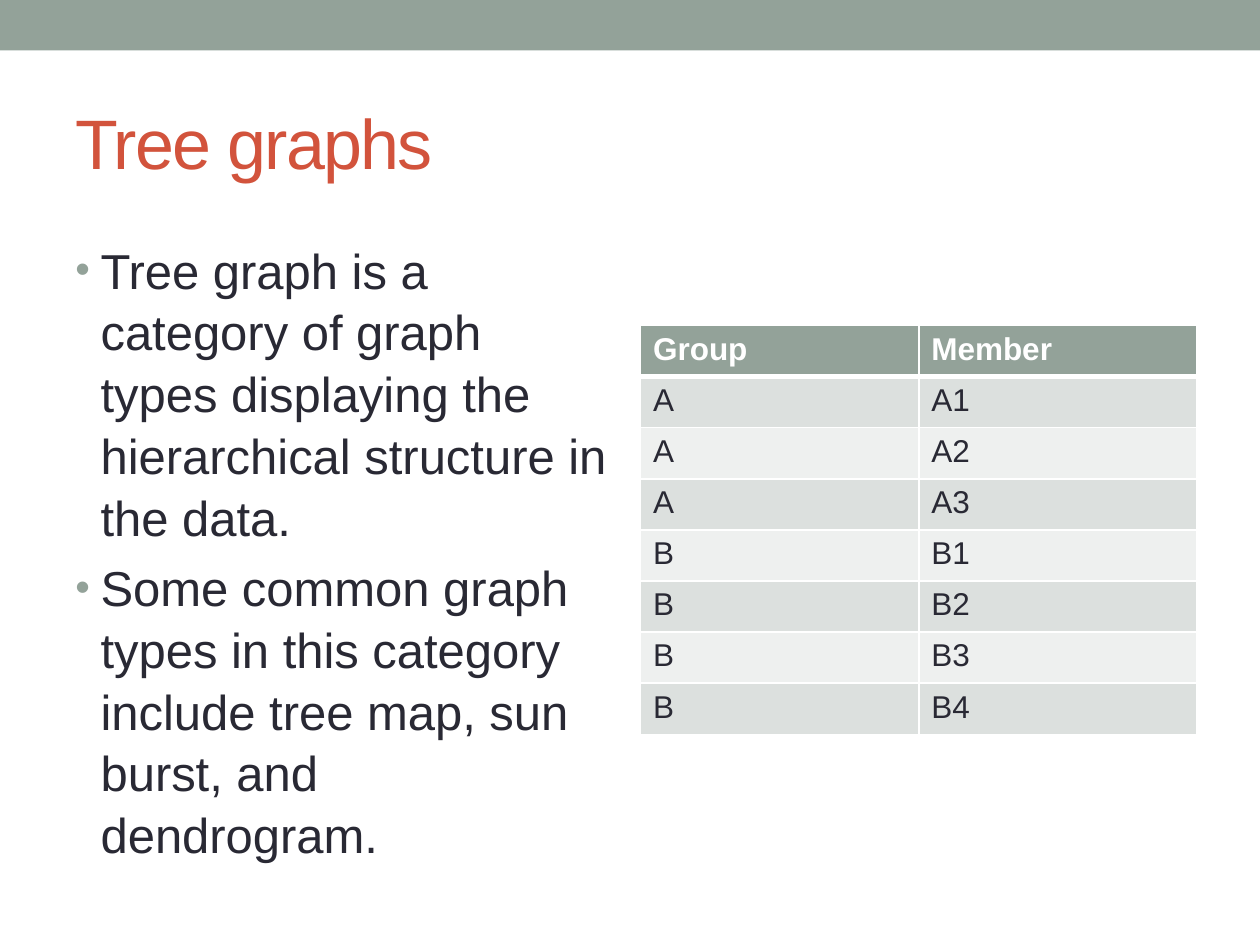
from lxml import etree
from pptx import Presentation
from pptx.dml.color import RGBColor
from pptx.enum.shapes import MSO_SHAPE
from pptx.enum.text import MSO_ANCHOR, MSO_AUTO_SIZE, PP_ALIGN
from pptx.oxml.ns import qn
from pptx.util import Pt

RECTANGLE = MSO_SHAPE.RECTANGLE
LEFT = PP_ALIGN.LEFT
MIDDLE = MSO_ANCHOR.MIDDLE
NO_AUTOFIT = MSO_AUTO_SIZE.NONE

SAGE = RGBColor(0x93, 0xA2, 0x99)
RED = RGBColor(0xD2, 0x53, 0x3C)
INK = RGBColor(0x29, 0x29, 0x34)
WHITE = RGBColor(0xFF, 0xFF, 0xFF)
ROW_FILLS = (RGBColor(0xDC, 0xE0, 0xDE), RGBColor(0xEE, 0xF0, 0xEF))

TITLE_FORMAT = {"name": "Arial", "size": Pt(40), "color": RED}
BODY_FORMAT = {"name": "Arial", "size": Pt(28), "color": INK}
HEADER_FORMAT = {"name": "Arial", "size": Pt(18), "bold": True, "color": WHITE}
CELL_FORMAT = {"name": "Arial", "size": Pt(18), "bold": False, "color": INK}

POINTS = (
    "Tree graph is a category of graph types displaying the "
    "hierarchical structure in the data.",
    "Some common graph types in this category include tree map, "
    "sun burst, and dendrogram.",
)
GROUP_SIZES = {"A": 3, "B": 4}


def format_font(font, values):
    for attribute, value in values.items():
        if attribute == "color":
            font.color.rgb = value
        else:
            setattr(font, attribute, value)


def add_top_band(slide, width):
    band = slide.shapes.add_shape(RECTANGLE, 0, 0, width, Pt(28.8))
    band.shadow.inherit = False
    band.fill.solid()
    band.fill.fore_color.rgb = SAGE
    band.line.fill.background()


def set_title(slide, text):
    title = slide.shapes.title
    title.left, title.top, title.width, title.height = Pt(36), Pt(42), Pt(648), Pt(78)
    frame = title.text_frame
    frame.auto_size = NO_AUTOFIT
    frame.vertical_anchor = MIDDLE
    paragraph = frame.paragraphs[0]
    paragraph.alignment = LEFT
    run = paragraph.add_run()
    run.text = text
    format_font(run.font, TITLE_FORMAT)
    run.font._element.set("spc", "-100")


def add_bullet(paragraph):
    """Hang a sage bullet at 85% of the text size."""
    properties = paragraph._p.get_or_add_pPr()
    indent = Pt(14.4)
    properties.set("marL", str(indent))
    properties.set("indent", str(-indent))
    color = etree.SubElement(properties, qn("a:buClr"))
    etree.SubElement(color, qn("a:srgbClr"), val=str(SAGE))
    etree.SubElement(properties, qn("a:buSzPct"), val="85000")
    etree.SubElement(properties, qn("a:buFont"), typeface="Arial")
    etree.SubElement(properties, qn("a:buChar"), char="•")


def add_bullet_list(slide, points):
    body = slide.shapes.add_textbox(Pt(36), Pt(132), Pt(318), Pt(371.5))
    frame = body.text_frame
    frame.word_wrap = True
    for index, point in enumerate(points):
        paragraph = frame.add_paragraph() if index else frame.paragraphs[0]
        paragraph.line_spacing = 1.05
        paragraph.space_before = Pt(5)
        add_bullet(paragraph)
        run = paragraph.add_run()
        run.text = point
        format_font(run.font, BODY_FORMAT)


def set_borders(cell, widths):
    """Draw white borders; widths maps a side (L, R, T, B) to points."""
    properties = cell._tc.get_or_add_tcPr()
    for position, (side, width) in enumerate(widths.items()):
        border = etree.Element(qn(f"a:ln{side}"), w=str(Pt(width)))
        fill = etree.SubElement(border, qn("a:solidFill"))
        etree.SubElement(fill, qn("a:srgbClr"), val=str(WHITE))
        properties.insert(position, border)


def add_member_table(slide, rows):
    row_height, column_width = Pt(29.2), Pt(159)
    table = slide.shapes.add_table(
        len(rows), len(rows[0]), Pt(366), Pt(186),
        column_width * len(rows[0]), row_height * len(rows),
    ).table
    for row_index, values in enumerate(rows):
        table.rows[row_index].height = row_height
        is_header = row_index == 0
        fill = SAGE if is_header else ROW_FILLS[(row_index - 1) % 2]
        for column_index, value in enumerate(values):
            cell = table.cell(row_index, column_index)
            cell.fill.solid()
            cell.fill.fore_color.rgb = fill
            top = 3 if row_index == 1 else 1
            bottom = 3 if is_header else 1
            set_borders(cell, {"L": 1, "R": 1, "T": top, "B": bottom})
            run = cell.text_frame.paragraphs[0].add_run()
            run.text = value
            format_font(run.font, HEADER_FORMAT if is_header else CELL_FORMAT)


def main():
    presentation = Presentation()
    presentation.slide_width, presentation.slide_height = Pt(720), Pt(540)
    slide = presentation.slides.add_slide(
        presentation.slide_layouts.get_by_name("Title Only"))
    members = [(group, f"{group}{number}")
               for group, size in GROUP_SIZES.items()
               for number in range(1, size + 1)]
    add_top_band(slide, presentation.slide_width)
    set_title(slide, "Tree graphs")
    add_bullet_list(slide, POINTS)
    add_member_table(slide, [("Group", "Member"), *members])
    presentation.save("out.pptx")


if __name__ == "__main__":
    main()
